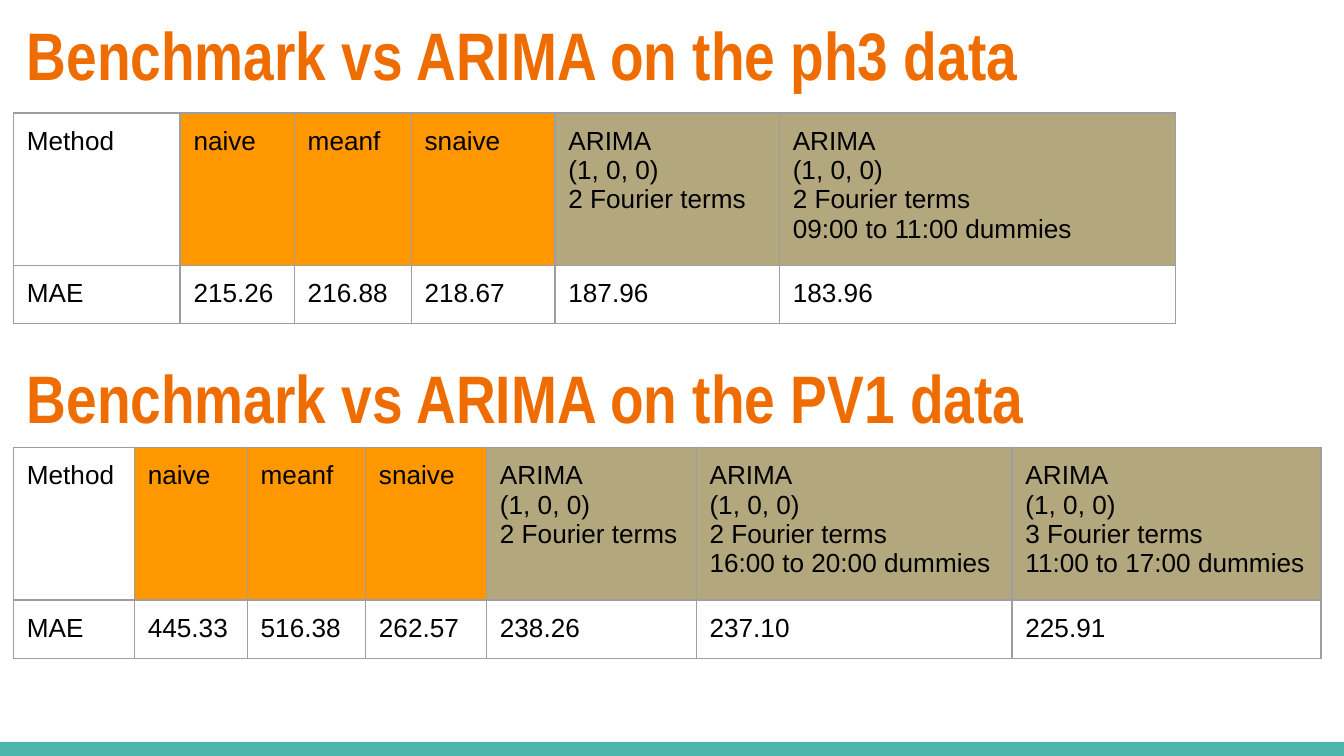
import pptx
import pptx.dml.color
import pptx.enum.shapes
import pptx.enum.text
import pptx.oxml
import pptx.oxml.ns
import pptx.util

RGBColor = pptx.dml.color.RGBColor
TITLE_ORANGE = RGBColor(0xEF, 0x6C, 0x00)
BENCHMARK_ORANGE = RGBColor(0xFF, 0x98, 0x00)
ARIMA_KHAKI = RGBColor(0xB3, 0xA7, 0x7D)
FOOTER_TEAL = RGBColor(0x4D, 0xB6, 0xAC)
BLACK = RGBColor(0, 0, 0)
BORDER_GREY = "9E9E9E"

WIDTH = 10
HEIGHT = WIDTH * 9 / 16
LEFT = 0.1 / WIDTH
INSET = pptx.util.Inches(0.1)
ROW_SHARE = 0.42 / HEIGHT  # least height; the header grows with its text

BENCHMARKS = ["naive", "meanf", "snaive"]


def arima(terms, dummies=None):
    """Return the header lines that describe one ARIMA model."""
    lines = ["ARIMA", "(1, 0, 0)", f"{terms} Fourier terms"]
    if dummies:
        lines.append(f"{dummies} dummies")
    return "\n".join(lines)


# data set, title top, table top, column widths (inches), models, errors
SECTIONS = [
    ("ph3", 0, 0.84, [1.24, 0.85, 0.87, 1.07, 1.67, 2.95],
     [arima(2), arima(2, "09:00 to 11:00")],
     ["215.26", "216.88", "218.67", "187.96", "183.96"]),
    ("PV1", 2.55, 3.33, [0.9, 0.84, 0.88, 0.9, 1.56, 2.35, 2.3],
     [arima(2), arima(2, "16:00 to 20:00"), arima(3, "11:00 to 17:00")],
     ["445.33", "516.38", "262.57", "238.26", "237.10", "225.91"]),
]


def write(tf, text, size=14, font="Arial", color=BLACK, bold=False):
    """Fill a text frame, one paragraph for each line of text."""
    for i, line in enumerate(text.split("\n")):
        p = tf.paragraphs[0] if i == 0 else tf.add_paragraph()
        r = p.add_run()
        r.text = line
        r.font.size = pptx.util.Pt(size)
        r.font.name = font
        r.font.bold = bold
        r.font.color.rgb = color


def set_margins(holder):
    holder.margin_left = holder.margin_right = INSET
    holder.margin_top = holder.margin_bottom = INSET


def set_borders(cell):
    tc_pr = cell._tc.get_or_add_tcPr()
    for side in ("lnL", "lnR", "lnT", "lnB"):
        tc_pr.append(pptx.oxml.parse_xml(
            f'<a:{side} {pptx.oxml.ns.nsdecls("a")} w="{pptx.util.Pt(0.75)}">'
            f'<a:solidFill><a:srgbClr val="{BORDER_GREY}"/></a:solidFill>'
            f'</a:{side}>'))


class SlideBuilder:
    """Draws on one slide; all lengths are shares of the slide's size."""

    def __init__(self, prs):
        self.prs = prs
        self.slide = prs.slides.add_slide(prs.slide_layouts[6])

    def x(self, share):
        return round(self.prs.slide_width * share)

    def y(self, share):
        return round(self.prs.slide_height * share)

    def box(self, left, top, width, height):
        return self.x(left), self.y(top), self.x(width), self.y(height)

    def bar(self, left, top, width, height, color):
        sp = self.slide.shapes.add_shape(
            pptx.enum.shapes.MSO_SHAPE.RECTANGLE,
            *self.box(left, top, width, height))
        sp.shadow.inherit = False
        sp.fill.solid()
        sp.fill.fore_color.rgb = color
        sp.line.fill.background()

    def title(self, text, top):
        sp = self.slide.shapes.add_textbox(
            *self.box(LEFT, top, 9.32 / WIDTH, 0.77 / HEIGHT))
        tf = sp.text_frame
        tf.word_wrap = True
        tf.vertical_anchor = pptx.enum.text.MSO_ANCHOR.TOP
        set_margins(tf)
        write(tf, text, size=36, font="Arial Narrow", color=TITLE_ORANGE,
              bold=True)

    def table(self, top, col_shares, rows, header_fills):
        frame = self.slide.shapes.add_table(
            len(rows), len(col_shares),
            *self.box(LEFT, top, sum(col_shares), ROW_SHARE * len(rows)))
        table = frame.table
        table.first_row = table.horz_banding = False
        for col, share in zip(table.columns, col_shares):
            col.width = self.x(share)
        for i, texts in enumerate(rows):
            for j, text in enumerate(texts):
                color = header_fills[j] if i == 0 else None
                self.cell(table.cell(i, j), text, color)

    def cell(self, cell, text, color):
        set_margins(cell)
        set_borders(cell)
        if color is None:
            cell.fill.background()
        else:
            cell.fill.solid()
            cell.fill.fore_color.rgb = color
        write(cell.text_frame, text)


def main():
    prs = pptx.Presentation()
    prs.slide_width = pptx.util.Inches(WIDTH)
    prs.slide_height = pptx.util.Inches(HEIGHT)
    s = SlideBuilder(prs)

    s.bar(0, 5.52 / HEIGHT, 1, 1 - 5.52 / HEIGHT, FOOTER_TEAL)
    for data, title_top, table_top, widths, models, errors in SECTIONS:
        s.title(f"Benchmark vs ARIMA on the {data} data", title_top / HEIGHT)
        fills = ([None] + [BENCHMARK_ORANGE] * len(BENCHMARKS)
                 + [ARIMA_KHAKI] * len(models))
        s.table(table_top / HEIGHT, [w / WIDTH for w in widths],
                [["Method"] + BENCHMARKS + models, ["MAE"] + errors], fills)

    prs.save("out.pptx")


if __name__ == "__main__":
    main()
